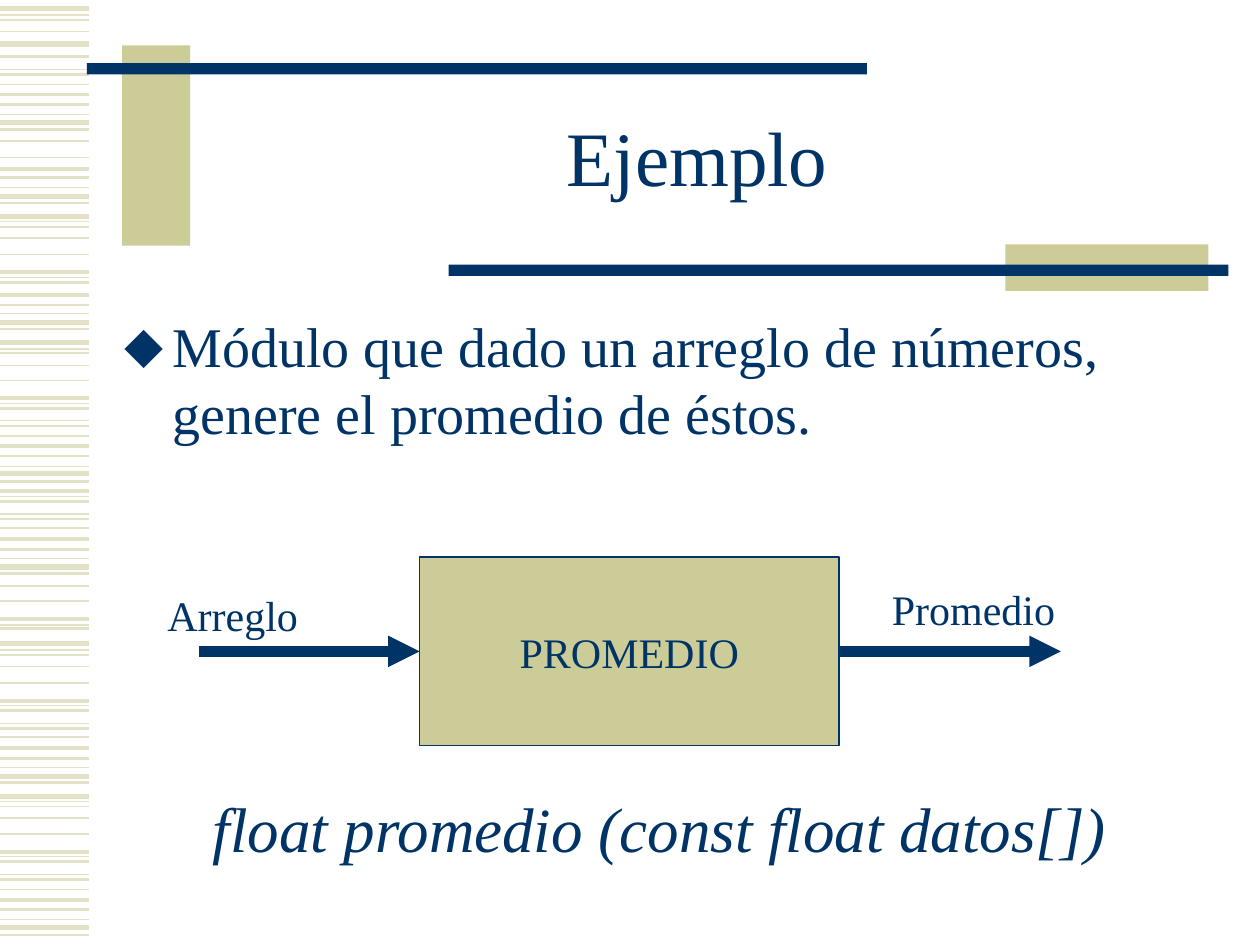
from lxml.etree import SubElement
from pptx import Presentation
from pptx.dml.color import RGBColor
from pptx.enum.shapes import MSO_CONNECTOR, MSO_SHAPE
from pptx.enum.text import MSO_ANCHOR, MSO_AUTO_SIZE, PP_ALIGN
from pptx.oxml.ns import qn
from pptx.util import Pt

PX = 9144
NAVY, SAND, PALE = "003366", "CCCC99", "E3E2C7"


def paint(item, tint):
    item.rgb = RGBColor.from_string(tint)


def write(frame, text, size, align=PP_ALIGN.LEFT):
    frame.text = text
    para = frame.paragraphs[0]
    para.alignment = align
    para.space_before = Pt(0)
    font = para.runs[0].font
    font.name = "Times New Roman"
    font.size = Pt(size)
    paint(font.color, NAVY)
    return para


deck = Presentation()
deck.slide_width, deck.slide_height = 1000 * PX, 750 * PX
slide = deck.slides.add_slide(deck.slide_layouts[1])
shapes = slide.shapes

stripes = {
    0.75: [12, 55, 91, 149, 176, 220, 249, 277, 320, 334, 370, 394, 408, 443,
           496, 516, 560, 574, 609, 636, 680, 694, 730],
    1: [16, 25, 67, 112, 125, 180, 189, 202, 280, 290, 302, 346, 419, 465,
        477, 520, 529, 542, 585, 640, 649, 662, 706],
    1.5: [45, 59, 83, 103, 141, 161, 224, 242, 261, 324, 338, 362, 382, 398,
          412, 436, 455, 499, 564, 578, 602, 621, 684, 698, 722, 742],
    2.25: [75, 134, 216, 234, 316, 354, 390, 428, 491, 556, 594, 676, 714],
    3: [7, 35, 97, 156, 172, 256, 272, 376, 450, 511, 616, 632, 736],
}
lines = [(0, y, 71, PALE, width) for width, rows in stripes.items() for y in rows]
lines += [(x, 517, x + 175, NAVY, 6) for x in (158, 667)]
for left, y, right, tint, width in lines:
    line = shapes.add_connector(
        MSO_CONNECTOR.STRAIGHT, left * PX, y * PX, right * PX, y * PX)
    paint(line.line.color, tint)
    line.line.width = Pt(width)
    props = line._element.spPr
    if tint == NAVY:
        SubElement(props.find(qn("a:ln")), qn("a:tailEnd"), type="triangle")
    SubElement(props, qn("a:effectLst"))

blocks = [
    (97, 36, 54, 159, SAND),
    (69, 50, 619, 9, NAVY),
    (798, 194, 161, 37, SAND),
    (356, 210, 619, 9, NAVY),
    (333, 442, 333, 150, SAND),
]
for left, top, width, height, tint in blocks:
    box = shapes.add_shape(
        MSO_SHAPE.RECTANGLE, left * PX, top * PX, width * PX, height * PX)
    box.shadow.inherit = False
    box.fill.solid()
    paint(box.fill.fore_color, tint)
    box.line.fill.background()

paint(box.line.color, NAVY)
box.line.width = Pt(0.75)
frame = box.text_frame
frame.word_wrap = False
frame.vertical_anchor = MSO_ANCHOR.MIDDLE
write(frame, "PROMEDIO", 24, PP_ALIGN.CENTER)

title = shapes.title
title.left, title.top, title.width, title.height = 150 * PX, 67 * PX, 807 * PX, 125 * PX
title.text_frame.vertical_anchor = MSO_ANCHOR.MIDDLE
write(title.text_frame, "Ejemplo", 44, PP_ALIGN.CENTER).line_spacing = 0.85

body = slide.placeholders[1]
body.left, body.top, body.width, body.height = 89 * PX, 242 * PX, 870 * PX, 424 * PX
body.text_frame.auto_size = MSO_AUTO_SIZE.NONE
para = write(
    body.text_frame,
    "Módulo que dado un arreglo de números, genere el promedio de éstos.", 32)
props = para._p.get_or_add_pPr()
props.set("marL", str(38 * PX))
props.set("indent", str(-38 * PX))
tone = SubElement(props, qn("a:buClr"))
SubElement(tone, qn("a:srgbClr"), val=NAVY)
SubElement(props, qn("a:buChar"), char="⬥")

labels = [
    (123, 463, 128, 50, "Arreglo", 24),
    (698, 458, 154, 50, "Promedio", 24),
    (159, 622, 735, 70, "float promedio (const float datos[])", 36),
]
for left, top, width, height, text, size in labels:
    label = shapes.add_textbox(left * PX, top * PX, width * PX, height * PX)
    label.text_frame.word_wrap = False
    label.text_frame.auto_size = MSO_AUTO_SIZE.NONE
    para = write(label.text_frame, text, size)
para.runs[0].font.italic = True

deck.save("out.pptx")
